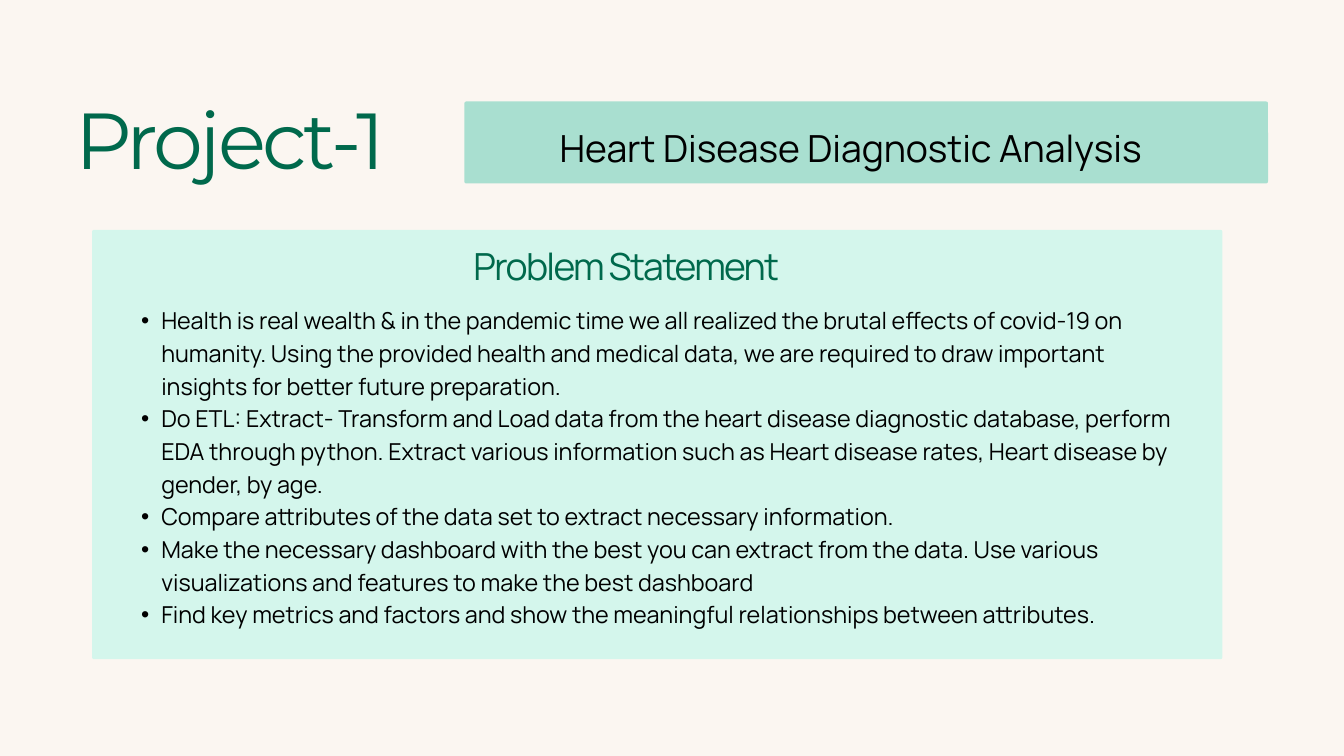
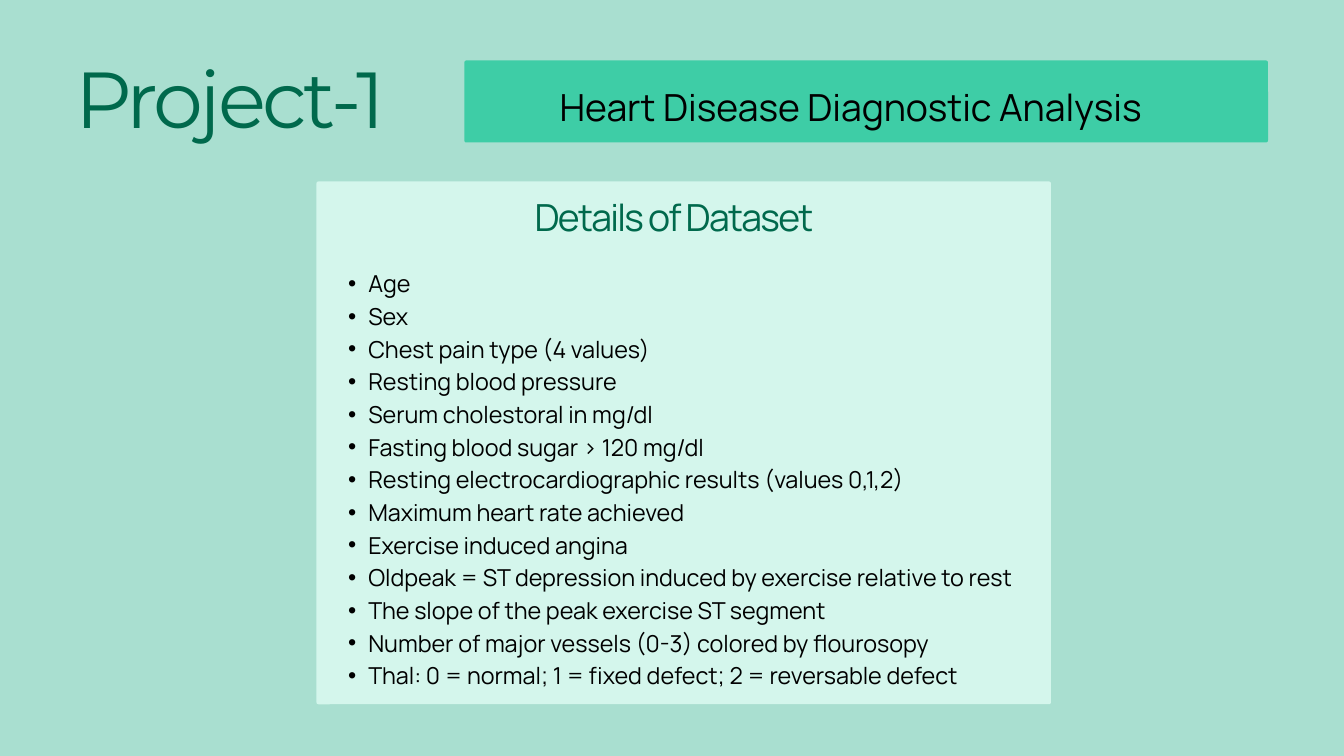
from pptx import Presentation
from pptx.dml.color import RGBColor
from pptx.enum.shapes import MSO_SHAPE
from pptx.enum.text import MSO_ANCHOR, MSO_AUTO_SIZE, PP_ALIGN
from pptx.oxml.ns import qn
from pptx.util import Inches, Pt
from lxml import etree

ROUNDED = MSO_SHAPE.ROUNDED_RECTANGLE
TOP = MSO_ANCHOR.TOP
NO_AUTOFIT = MSO_AUTO_SIZE.NONE
LEFT, CENTER = PP_ALIGN.LEFT, PP_ALIGN.CENTER

CREAM, MINT, PALE_MINT, EMERALD = "FBF6F1", "A9DFD0", "D4F6EC", "3ECDA6"
GREEN, BLACK = "00694C", "000000"
TITLE_FONT, TEXT_FONT = "Montserrat", "Manrope"

PROBLEM = [
    "Health is real wealth & in the pandemic time we all realized the brutal effects of covid-19 "
    "on humanity. Using the provided health and medical data, we are required to draw important "
    "insights for better future preparation.",
    "Do ETL: Extract- Transform and Load data from the heart disease diagnostic database, perform "
    "EDA through python. Extract various information such as Heart disease rates, Heart disease "
    "by gender, by age.",
    "Compare attributes of the data set to extract necessary information.",
    "Make the necessary dashboard with the best you can extract from the data. Use various "
    "visualizations and features to make the best dashboard",
    "Find key metrics and factors and show the meaningful relationships between attributes.",
]
DATASET = [
    "Age",
    "Sex",
    "Chest pain type (4 values)",
    "Resting blood pressure",
    "Serum cholestoral in mg/dl",
    "Fasting blood sugar > 120 mg/dl",
    "Resting electrocardiographic results (values 0,1,2)",
    "Maximum heart rate achieved",
    "Exercise induced angina",
    "Oldpeak = ST depression induced by exercise relative to rest",
    "The slope of the peak exercise ST segment",
    "Number of major vessels (0-3) colored by flourosopy",
    "Thal: 0 = normal; 1 = fixed defect; 2 = reversable defect",
]


def rgb(value):
    return RGBColor.from_string(value)


class Deck:
    def __init__(self):
        self.prs = Presentation()
        self.prs.slide_width, self.prs.slide_height = Inches(20), Inches(11.25)
        self.s = None

    def new_slide(self, background):
        self.s = self.prs.slides.add_slide(self.prs.slide_layouts[1])
        fill = self.s.background.fill
        fill.solid()
        fill.fore_color.rgb = rgb(background)

    def box(self, x, y, w, h, color, radius=0.03):
        sp = self.s.shapes.add_shape(ROUNDED, Inches(x), Inches(y), Inches(w), Inches(h))
        sp.adjustments[0] = radius / min(w, h)
        sp.shadow.inherit = False
        sp.fill.solid()
        sp.fill.fore_color.rgb = rgb(color)
        sp.line.fill.background()

    def fill_text(self, sp, place, lines, size, leading, color=BLACK, font=TEXT_FONT,
                  align=LEFT, tracking=0, bullets=False):
        """Place sp in front of the boxes and fill it, one paragraph per line."""
        self.s.shapes._spTree.append(sp._element)
        sp.left, sp.top, sp.width, sp.height = map(Inches, place)
        tf = sp.text_frame
        tf.word_wrap, tf.auto_size, tf.vertical_anchor = True, NO_AUTOFIT, TOP
        tf.margin_left = tf.margin_top = tf.margin_right = tf.margin_bottom = 0
        for i, line in enumerate(lines):
            p = tf.add_paragraph() if i else tf.paragraphs[0]
            p.alignment = align
            p.line_spacing = Pt(leading)
            p.space_before = p.space_after = Pt(0)
            if bullets:
                self.bullet(p)
            r = p.add_run()
            r.text = line
            r.font.name, r.font.size = font, Pt(size)
            r.font.color.rgb = rgb(color)
            if tracking:
                r._r.get_or_add_rPr().set("spc", str(round(tracking * 100)))

    def bullet(self, p):
        pPr = p._p.get_or_add_pPr()
        pPr.set("marL", str(Inches(0.59)))
        pPr.set("indent", str(Inches(-0.3)))
        etree.SubElement(pPr, qn("a:buFont")).set("typeface", "Arial")
        etree.SubElement(pPr, qn("a:buChar")).set("char", "•")

    def text(self, place, line, size, leading, **style):
        sp = self.s.shapes.add_textbox(0, 0, 0, 0)
        self.fill_text(sp, place, [line], size, leading, **style)

    def header(self, y, bar_color):
        self.box(6.91, y, 11.96, 1.22, bar_color)
        self.fill_text(self.s.shapes.title, (1.12, y + 0.18, 6.25, 1.14), ["Project-1"], 85, 76.5,
                       color=GREEN, font=TITLE_FONT, tracking=-3.9)
        self.text((8.15, y + 0.24, 9.02, 0.74), "Heart Disease Diagnostic Analysis", 40, 56,
                  align=CENTER)

    def panel(self, place, heading, heading_place, items, list_place):
        self.box(*place, PALE_MINT)
        self.text(heading_place, heading, 40, 36, color=GREEN, align=CENTER, tracking=-1.8)
        self.fill_text(self.s.placeholders[1], list_place, items, 25, 35, bullets=True)


def main():
    deck = Deck()

    deck.new_slide(CREAM)
    deck.header(1.51, MINT)
    deck.panel((1.37, 3.42, 16.82, 6.39), "Problem Statement", (6.91, 3.79, 4.82, 0.53),
               PROBLEM, (1.81, 4.49, 15.95, 4.78))

    deck.new_slide(MINT)
    deck.header(0.9, EMERALD)
    deck.panel((4.71, 2.7, 10.93, 7.78), "Details of Dataset", (7.83, 3.05, 4.4, 0.53),
               DATASET, (4.89, 3.94, 10.28, 6.22))

    deck.prs.save("out.pptx")


if __name__ == "__main__":
    main()
